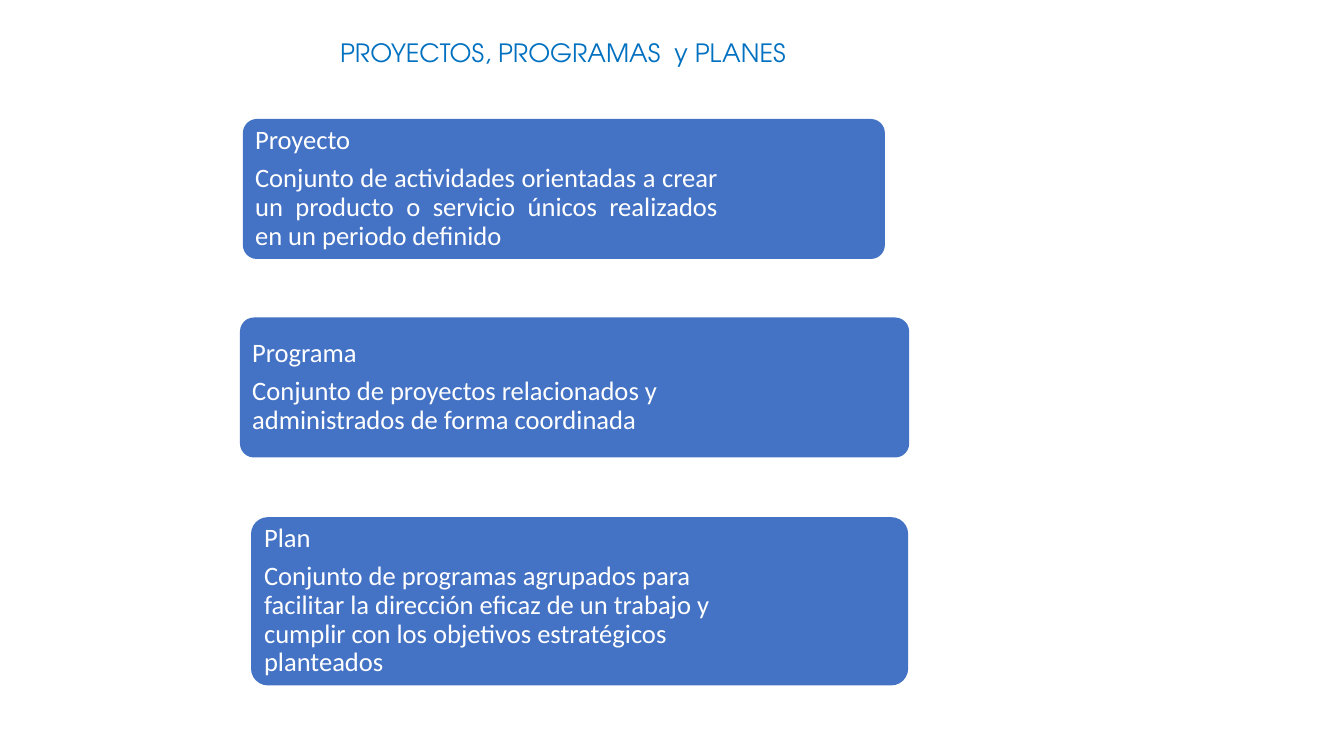
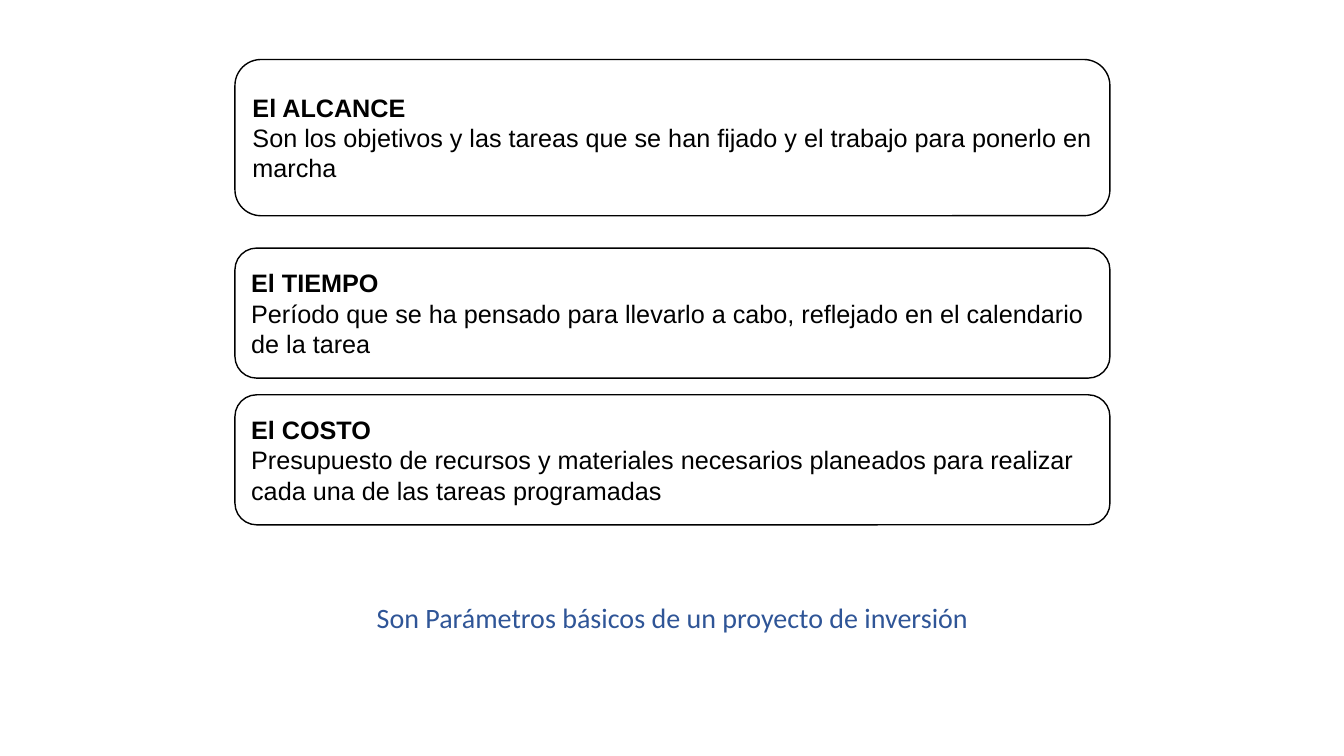
from pptx import Presentation
from pptx.dml.color import RGBColor
from pptx.enum import shapes, text
from pptx.util import Pt

COLORS = {
    "heading": "0070C0",
    "caption": "2F5597",
    "concept": "4472C4",
    "white": "FFFFFF",
    "black": "000000",
}
TITLE_ONLY = 5

# left, top, width, height, term, definition, alignment of the definition
CONCEPTS = [
    (173.5, 85, 458.6, 100, "Proyecto",
     "Conjunto de actividades orientadas a crear un producto o servicio "
     "únicos realizados en un periodo definido", text.PP_ALIGN.JUSTIFY),
    (171.4, 226.8, 478, 100, "Programa",
     "Conjunto de proyectos relacionados y administrados de forma coordinada",
     text.PP_ALIGN.LEFT),
    (179.3, 369.4, 469.4, 120.2, "Plan",
     "Conjunto de programas agrupados para facilitar la dirección eficaz de un "
     "trabajo y cumplir con los objetivos estratégicos planteados",
     text.PP_ALIGN.LEFT),
]

PARAMETERS_LEFT, PARAMETERS_WIDTH = 167.8, 625
# top, height, term, definition
PARAMETERS = [
    (42.5, 111.6, "El ALCANCE",
     "Son los objetivos y las tareas que se han fijado y el trabajo para "
     "ponerlo en marcha"),
    (177.2, 92.9, "El TIEMPO",
     "Período que se ha pensado para llevarlo a cabo, reflejado en el "
     "calendario de la tarea"),
    (282, 92.9, "El COSTO",
     "Presupuesto de recursos y materiales necesarios planeados para realizar "
     "cada una de las tareas programadas"),
]


def rgb(name):
    return RGBColor.from_string(COLORS[name])


def style_runs(paragraph, font, size, color, bold=False):
    for run in paragraph.runs:
        run.font.name = font
        run.font.size = Pt(size)
        run.font.bold = bold
        run.font.color.rgb = rgb(color)


def set_title(slide, wording, left, top, width, height, font, size, color):
    title = slide.shapes.title
    title.left, title.top = Pt(left), Pt(top)
    title.width, title.height = Pt(width), Pt(height)
    frame = title.text_frame
    frame.text = wording
    frame.auto_size = text.MSO_AUTO_SIZE.NONE
    frame.vertical_anchor = text.MSO_ANCHOR.MIDDLE
    frame.paragraphs[0].alignment = text.PP_ALIGN.CENTER
    style_runs(frame.paragraphs[0], font, size, color)


def add_card(slide, left, top, width, height, fill, term, definition):
    """Add a rounded card and return it with its term and definition paragraphs."""
    card = slide.shapes.add_shape(
        shapes.MSO_SHAPE.ROUNDED_RECTANGLE,
        Pt(left), Pt(top), Pt(width), Pt(height))
    card.shadow.inherit = False
    card.fill.solid()
    card.fill.fore_color.rgb = rgb(fill)
    frame = card.text_frame
    frame.word_wrap = True
    frame.vertical_anchor = text.MSO_ANCHOR.MIDDLE
    frame.text = f"{term}\n{definition}"
    for paragraph in frame.paragraphs:
        paragraph.alignment = text.PP_ALIGN.LEFT
    return card, frame.paragraphs


def add_concept(slide, left, top, width, height, term, definition, alignment):
    """Add a blue card whose text leaves the right quarter free."""
    card, paragraphs = add_card(
        slide, left, top, width, height, "concept", term, definition)
    card.adjustments[0] = 0.1
    card.line.fill.background()
    frame = card.text_frame
    frame.margin_left = frame.margin_top = frame.margin_bottom = Pt(5.8)
    frame.margin_right = Pt(width * 0.254)
    for paragraph in paragraphs:
        paragraph.line_spacing = 0.9
        paragraph.space_after = Pt(6.6)
        style_runs(paragraph, "Calibri", 19, "white")
    paragraphs[1].alignment = alignment


def add_parameter(slide, top, height, term, definition):
    card, paragraphs = add_card(
        slide, PARAMETERS_LEFT, top, PARAMETERS_WIDTH, height,
        "white", term, definition)
    card.line.color.rgb = rgb("black")
    card.line.width = Pt(1)
    for paragraph, bold in zip(paragraphs, (True, False)):
        style_runs(paragraph, "Arial", 18, "black", bold)


def build_concepts(prs):
    slide = prs.slides.add_slide(prs.slide_layouts[TITLE_ONLY])
    set_title(slide, "PROYECTOS, PROGRAMAS  y PLANES", 141.8, 23, 520.6, 28.8,
              "TeX Gyre Adventor", 18, "heading")
    for concept in CONCEPTS:
        add_concept(slide, *concept)


def build_parameters(prs):
    slide = prs.slides.add_slide(prs.slide_layouts[TITLE_ONLY])
    for parameter in PARAMETERS:
        add_parameter(slide, *parameter)
    set_title(slide, "Son Parámetros básicos de un proyecto de inversión",
              PARAMETERS_LEFT, 424.8, PARAMETERS_WIDTH, 31.7,
              "Calibri", 20, "caption")


def main():
    prs = Presentation()
    prs.slide_width, prs.slide_height = Pt(960), Pt(540)
    build_concepts(prs)
    build_parameters(prs)
    prs.save("out.pptx")


if __name__ == "__main__":
    main()
